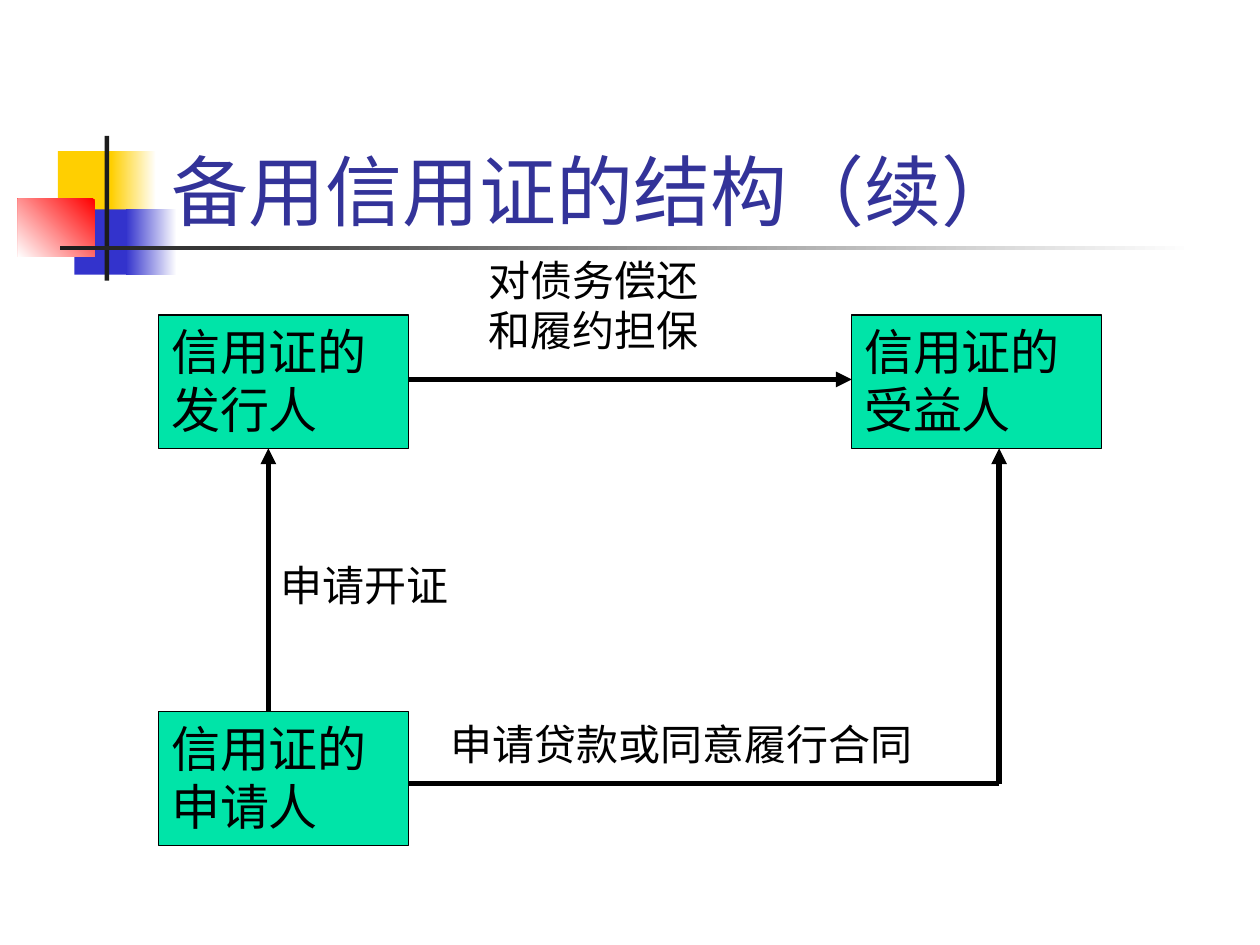
"""Build a slide on the structure of a standby letter of credit."""
from dataclasses import dataclass
from typing import Optional

import lxml.etree
import pptx
import pptx.dml.color
import pptx.enum.shapes
import pptx.enum.text
import pptx.oxml.ns
import pptx.util

Cm = pptx.util.Cm
RGBColor = pptx.dml.color.RGBColor
WHITE = RGBColor(0xFF, 0xFF, 0xFF)
BLACK = RGBColor(0, 0, 0)
YELLOW = RGBColor(0xFF, 0xCF, 0x01)
BLUE = RGBColor(0x33, 0x33, 0xCC)
RED = RGBColor(0xFF, 0, 0)
CHARCOAL = RGBColor(0x1C, 0x1C, 0x1C)
GREEN = RGBColor(0, 0xE4, 0xA8)
TITLE_BLUE = RGBColor(0x33, 0x33, 0x99)

PARTY_WIDTH, PARTY_HEIGHT = 5.03, 2.69
LEFT, RIGHT, TOP, BOTTOM = 3.2, 17.17, 6.35, 14.35


@dataclass
class Ornament:
    left: float
    top: float
    width: float
    height: float
    color: RGBColor
    fade_to: Optional[RGBColor] = None
    angle: float = 180


@dataclass
class Party:
    text: str
    left: float
    top: float


@dataclass
class Label:
    text: str
    left: float
    top: float
    width: float
    height: float


@dataclass
class Flow:
    start: tuple[float, float]
    end: tuple[float, float]
    arrow: bool = True


ORNAMENTS = [
    Ornament(1.17, 3.05, 1.22, 1.32, YELLOW),
    Ornament(2.24, 3.05, 0.91, 1.32, WHITE, YELLOW),
    Ornament(1.5, 4.22, 1.17, 1.32, BLUE),
    Ornament(2.54, 4.22, 1.02, 1.32, WHITE, BLUE),
    Ornament(0.36, 4.01, 1.55, 1.17, RED, WHITE, 225),
    Ornament(2.11, 2.74, 0.09, 2.92, CHARCOAL),
    Ornament(1.22, 4.95, 22.86, 0.09, WHITE, CHARCOAL),
]
PARTIES = [
    Party("信用证的发行人", LEFT, TOP),
    Party("信用证的申请人", LEFT, BOTTOM),
    Party("信用证的受益人", RIGHT, TOP),
]
LABELS = [
    Label("申请开证", 5.41, 11.15, 4.19, 1.27),
    Label("对债务偿还和履约担保", 9.6, 5, 5.51, 2.29),
    Label("申请贷款或同意履行合同", 8.84, 14.35, 10.54, 1.27),
]
PARTY_RIGHT, PARTY_FOOT = LEFT + PARTY_WIDTH, TOP + PARTY_HEIGHT
CORNER = (20.14, 15.8)
FLOWS = [
    Flow((5.41, BOTTOM), (5.41, PARTY_FOOT)),
    Flow((PARTY_RIGHT, 7.65), (RIGHT, 7.65)),
    Flow((PARTY_RIGHT, CORNER[1]), CORNER, arrow=False),
    Flow(CORNER, (CORNER[0], PARTY_FOOT)),
]


def write_text(frame, text: str, *, size: float, font: str = "Times New Roman",
               color: RGBColor = BLACK,
               anchor=pptx.enum.text.MSO_ANCHOR.TOP) -> None:
    frame.word_wrap = True
    frame.auto_size = pptx.enum.text.MSO_AUTO_SIZE.NONE
    frame.vertical_anchor = anchor
    para = frame.paragraphs[0]
    para.alignment = pptx.enum.text.PP_ALIGN.LEFT
    span = para.add_run()
    span.text = text
    span.font.size = pptx.util.Pt(size)
    span.font.name = font
    span.font.color.rgb = color


def add_rectangle(page, left: float, top: float, width: float, height: float):
    box = page.shapes.add_shape(pptx.enum.shapes.MSO_SHAPE.RECTANGLE,
                                Cm(left), Cm(top), Cm(width), Cm(height))
    box.shadow.inherit = False
    return box


def draw_ornament(page, item: Ornament) -> None:
    box = add_rectangle(page, item.left, item.top, item.width, item.height)
    box.line.fill.background()
    if item.fade_to is None:
        box.fill.solid()
        box.fill.fore_color.rgb = item.color
        return
    box.fill.gradient()
    box.fill.gradient_angle = item.angle
    for stop, color in zip(box.fill.gradient_stops, (item.color, item.fade_to)):
        stop.color.rgb = color


def draw_party(page, party: Party) -> None:
    box = add_rectangle(page, party.left, party.top, PARTY_WIDTH, PARTY_HEIGHT)
    box.fill.solid()
    box.fill.fore_color.rgb = GREEN
    box.line.color.rgb = BLACK
    box.line.width = pptx.util.Pt(0.75)
    write_text(box.text_frame, party.text, size=28)


def draw_label(page, label: Label) -> None:
    box = page.shapes.add_textbox(Cm(label.left), Cm(label.top),
                                  Cm(label.width), Cm(label.height))
    write_text(box.text_frame, label.text, size=24)


def draw_flow(page, flow: Flow) -> None:
    line = page.shapes.add_connector(
        pptx.enum.shapes.MSO_CONNECTOR.STRAIGHT,
        *(Cm(value) for value in flow.start + flow.end))
    line.line.color.rgb = BLACK
    line.line.width = pptx.util.Pt(3)
    qn = pptx.oxml.ns.qn
    properties = line._element.spPr
    if flow.arrow:
        lxml.etree.SubElement(properties.find(qn("a:ln")), qn("a:tailEnd"),
                              type="triangle")
    lxml.etree.SubElement(properties, qn("a:effectLst"))


def main() -> None:
    deck = pptx.Presentation()
    deck.slide_width, deck.slide_height = Cm(25.4), Cm(19.05)
    page = deck.slides.add_slide(deck.slide_layouts.get_by_name("Title Only"))
    for item in ORNAMENTS:
        draw_ornament(page, item)
    title = page.shapes.title
    title.left, title.top = Cm(3.2), Cm(1.7)
    title.width, title.height = Cm(21.64), Cm(3.18)
    write_text(title.text_frame, "备用信用证的结构（续）", size=44, font="Karla",
               color=TITLE_BLUE, anchor=pptx.enum.text.MSO_ANCHOR.BOTTOM)
    for party in PARTIES:
        draw_party(page, party)
    for flow in FLOWS:
        draw_flow(page, flow)
    for label in LABELS:
        draw_label(page, label)
    deck.save("out.pptx")


if __name__ == "__main__":
    main()
